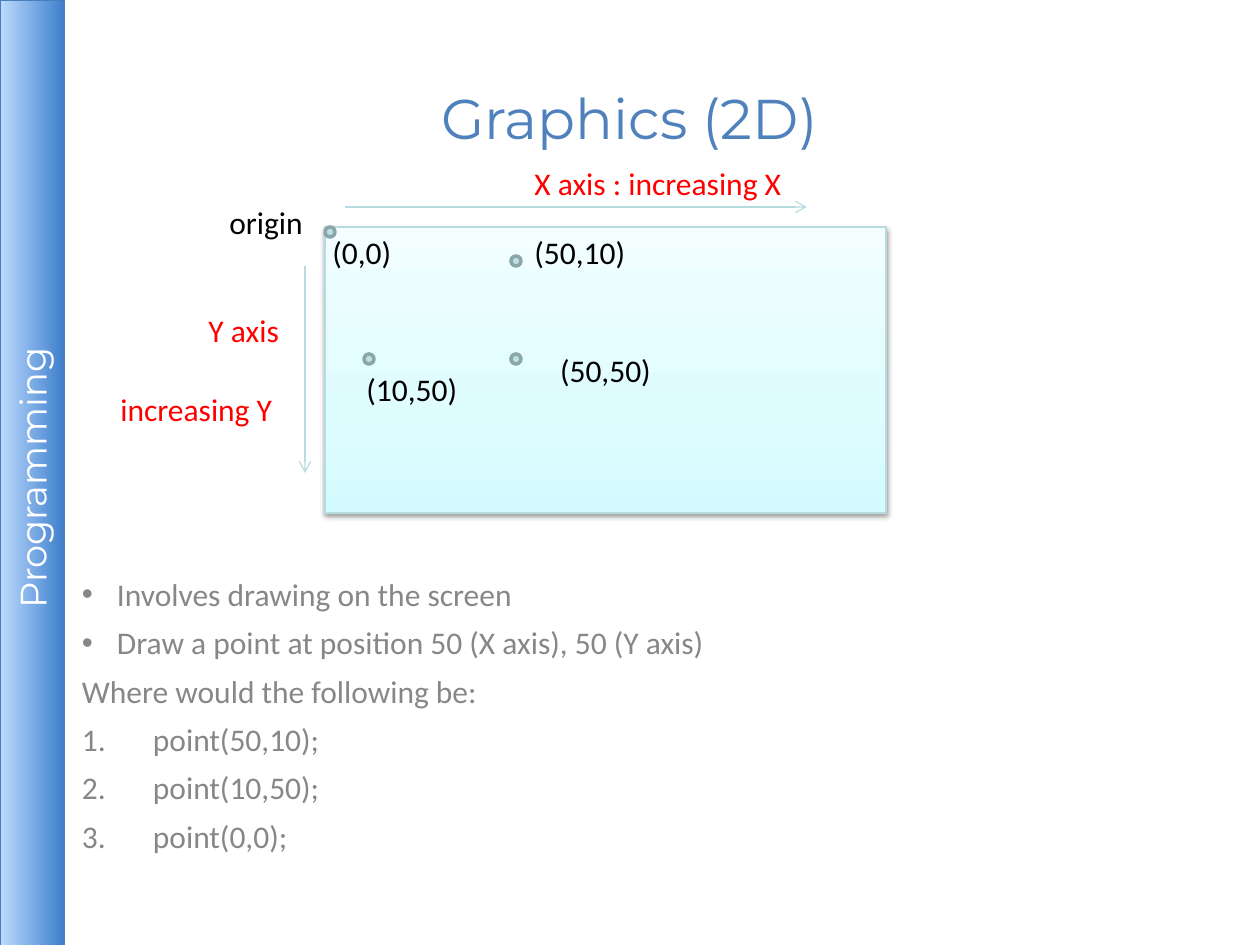
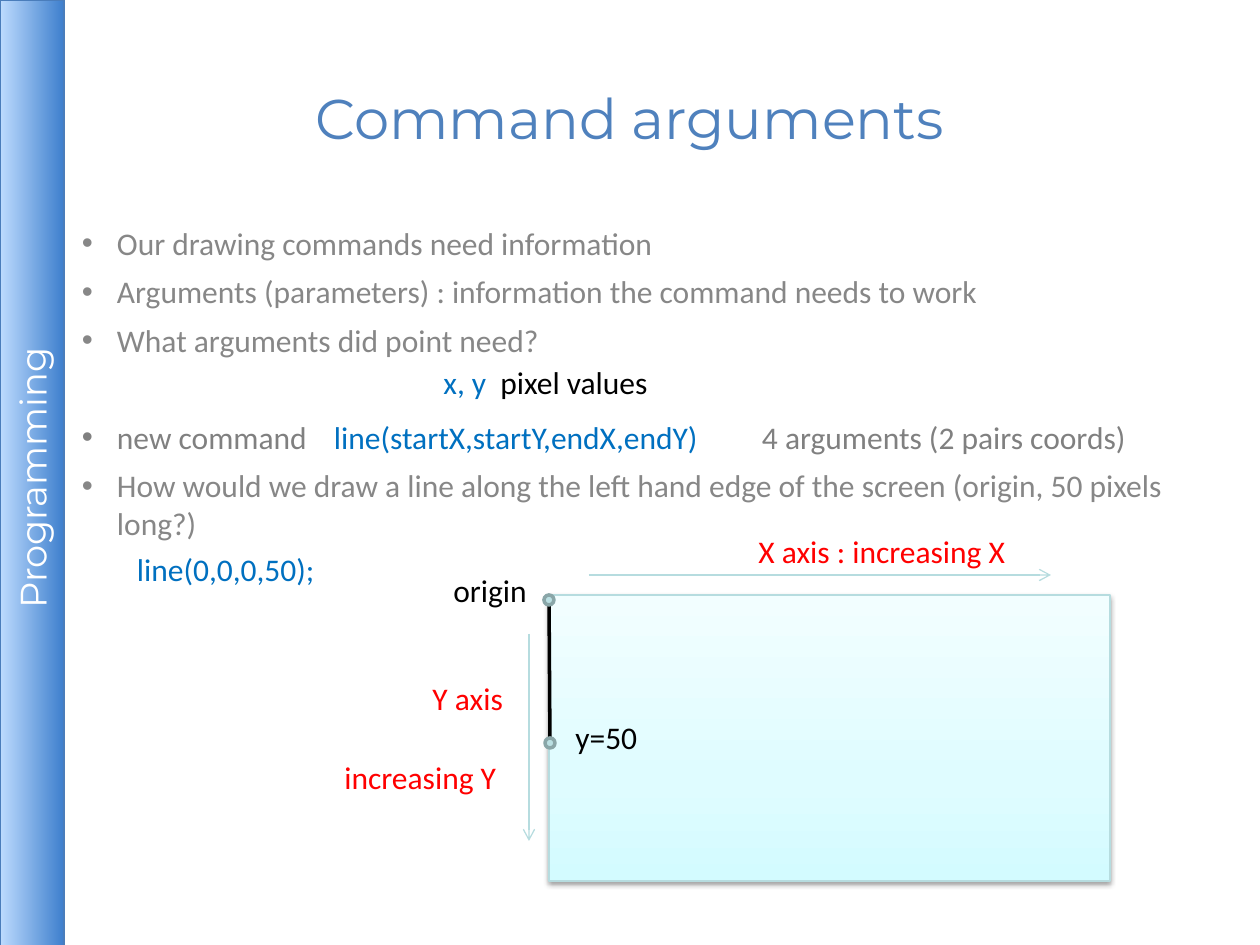
from dataclasses import dataclass

from lxml import etree
from pptx import Presentation
from pptx import util as u
from pptx.dml.color import RGBColor
from pptx.enum import shapes, text
from pptx.oxml import ns

SCALE = 914400 / 126


@dataclass(frozen=True)
class Theme:
    heading_font: str = "Montserrat"
    body_font: str = "Calibri"
    title_size: int = 32
    band_size: int = 21
    body_size: int = 18
    title: str = "4F81BD"
    body: str = "878787"
    command: str = "808080"
    code: str = "0070C0"
    axis: str = "FF0000"
    black: str = "000000"
    white: str = "FFFFFF"
    edge: str = "B6DCDF"
    dot: str = "BBE0E3"
    dot_edge: str = "8AA6A8"
    band_edge: str = "4A7DBB"
    band_stops: tuple = ((0, "BDDBFE"), (100, "3E7FCD"))
    screen_stops: tuple = ((0, "D3FBFF"), (35, "DFFCFF"), (100, "F2FEFF"))


T = Theme()
BAND = (-441, 441, 946, 64)
TITLE = (63, 38, 1134, 158)
SCREEN_SIZE = (561, 286)
DOT = 10
INSET = 5


def px(n):
    return u.Emu(round(n * SCALE))


def box(left, top, width, height):
    return [px(n) for n in (left, top, width, height)]


def rgb(color):
    return RGBColor.from_string(color)


def add_xml(parent, tag, **attrs):
    return etree.SubElement(parent, ns.qn(tag), {k: str(v) for k, v in attrs.items()})


def write(p, runs, size=T.body_size, font=T.body_font):
    """Fill a paragraph from (text, colour) pairs."""
    for words, color in runs:
        r = p.add_run()
        r.text = words
        r.font.size, r.font.name = u.Pt(size), font
        r.font.color.rgb = rgb(color)


def set_tabs(p, stops):
    tabs = add_xml(p._p.get_or_add_pPr(), "a:tabLst")
    for stop in stops:
        add_xml(tabs, "a:tab", pos=px(stop), algn="l")


def set_insets(tf):
    tf.margin_left = tf.margin_right = tf.margin_top = tf.margin_bottom = px(INSET)


def add_preset(s, kind, area, edge, weight):
    sp = s.shapes.add_shape(kind, *box(*area))
    sp.shadow.inherit = False
    sp.line.color.rgb, sp.line.width = rgb(edge), u.Pt(weight)
    return sp


def add_gradient_rect(s, area, edge, stops, angle, alpha, blur, dist):
    sp = add_preset(s, shapes.MSO_SHAPE.RECTANGLE, area, edge, 0.75)
    sp.fill.gradient()
    sp.fill.gradient_angle = angle
    props = sp.element.spPr
    stop_list = props.find(".//" + ns.qn("a:gsLst"))
    for old in list(stop_list):
        stop_list.remove(old)
    for pos, color in stops:
        add_xml(add_xml(stop_list, "a:gs", pos=pos * 1000), "a:srgbClr", val=color)
    shadow = add_xml(props.find(ns.qn("a:effectLst")), "a:outerShdw", blurRad=u.Pt(blur),
                     dist=u.Pt(dist), dir=5400000, rotWithShape=0)
    add_xml(add_xml(shadow, "a:srgbClr", val=T.black), "a:alpha", val=alpha * 1000)
    return sp


def add_line(s, start, end, color=T.edge, weight=0.75, arrow=True):
    line = s.shapes.add_connector(shapes.MSO_CONNECTOR.STRAIGHT,
                                  *[px(n) for n in (*start, *end)])
    line.line.color.rgb, line.line.width = rgb(color), u.Pt(weight)
    if arrow:
        add_xml(line.line._get_or_add_ln(), "a:tailEnd", type="arrow")
    add_xml(line.element.spPr, "a:effectLst")


def add_dot(s, x, y):
    dot = add_preset(s, shapes.MSO_SHAPE.OVAL, (x, y, DOT, DOT), T.dot_edge, 2)
    dot.fill.solid()
    dot.fill.fore_color.rgb = rgb(T.dot)


def add_label(s, x, y, width, *runs):
    tf = s.shapes.add_textbox(*box(x, y, width, 50)).text_frame
    tf.word_wrap = False
    tf.auto_size = text.MSO_AUTO_SIZE.SHAPE_TO_FIT_TEXT
    write(tf.paragraphs[0], runs)
    return tf.paragraphs[0]


def add_band(s):
    band = add_gradient_rect(s, BAND, T.band_edge, T.band_stops, 270, 35, 0, 1.8)
    band.rotation = 270
    tf = band.text_frame
    set_insets(tf)
    tf.vertical_anchor = text.MSO_ANCHOR.MIDDLE
    tf.paragraphs[0].alignment = text.PP_ALIGN.CENTER
    write(tf.paragraphs[0], [("Programming ", T.white)], T.band_size, T.heading_font)


def add_title(s, title):
    tf = s.shapes.add_textbox(*box(*TITLE)).text_frame
    tf.word_wrap = True
    set_insets(tf)
    tf.vertical_anchor = text.MSO_ANCHOR.MIDDLE
    tf.paragraphs[0].alignment = text.PP_ALIGN.CENTER
    write(tf.paragraphs[0], [(title, T.title)], T.title_size, T.heading_font)


def add_body(s, area, items):
    """Write (style, runs, space before, tab stops) items as one list."""
    tf = s.shapes.add_textbox(*box(*area)).text_frame
    tf.word_wrap = True
    set_insets(tf)
    indents = {"bullet": (35, -35), "plain": (35, -35), "number": (71, -71), "code": (55, 0)}
    for i, (style, runs, space, tabs) in enumerate(items):
        p = tf.paragraphs[0] if i == 0 else tf.add_paragraph()
        p.space_before = u.Pt(space)
        props = p._p.get_or_add_pPr()
        left, first = indents[style]
        props.set("marL", str(px(left)))
        props.set("indent", str(px(first)))
        if style == "bullet":
            add_xml(props, "a:buFont", typeface="Arial")
            add_xml(props, "a:buChar", char="•")
        elif style == "number":
            add_xml(props, "a:buFont", typeface="+mj-lt")
            add_xml(props, "a:buAutoNum", type="arabicPeriod")
        else:
            add_xml(props, "a:buNone")
        if tabs:
            set_tabs(p, tabs)
        write(p, runs)


def item(style, words, color=T.body, space=6):
    return style, [(words, color)], space, ()


def add_screen(s, x, y, arrow_start):
    """Draw the screen with its axes, with its top left corner at x, y."""
    screen = add_gradient_rect(s, (x, y, *SCREEN_SIZE), T.edge, T.screen_stops,
                               90, 38, 3.1, 1.6)
    add_line(s, (x - 20, y + 39), (x - 20, y + 246))
    add_line(s, (x + arrow_start, y - 20), (x + arrow_start + 462, y - 20))
    for dx, dy, width, words, color in (
            (-108, -30, 100, "origin", T.black),
            (197, -69, 276, "X axis : increasing X", T.axis),
            (-129, 78, 97, "Y axis", T.axis),
            (-217, 157, 180, "increasing Y", T.axis)):
        add_label(s, x + dx, y + dy, width, (words, color))
    return screen


def new_slide(prs, title):
    s = prs.slides.add_slide(prs.slide_layouts[6])
    add_band(s)
    add_title(s, title)
    return s


def graphics_slide(prs):
    s = new_slide(prs, "Graphics (2D)")
    add_body(s, (77, 570, 1120, 309), [
        item("bullet", "Involves drawing on the screen"),
        item("bullet", "Draw a point at position 50 (X axis), 50 (Y axis)"),
        item("plain", "Where would the following be:"),
        *[item("number", f"point({xy});") for xy in ("50,10", "10,50", "0,0")]])
    x, y = 325, 227
    tf = add_screen(s, x, y, 20).text_frame
    tf.vertical_anchor = text.MSO_ANCHOR.MIDDLE
    tf.paragraphs[0].alignment = text.PP_ALIGN.CENTER
    write(tf.paragraphs[0], [("(50,50)", T.black)])
    for dx, dy in ((186, 127), (186, 29), (39, 127), (0, 0)):
        add_dot(s, x + dx, y + dy)
    for dx, dy, width, words in ((29, 137, 117, "(10,50)"), (197, 0, 117, "(50,10)"),
                                 (-5, 0, 86, "(0,0)")):
        add_label(s, x + dx, y + dy, width, (words, T.black))


def arguments_slide(prs):
    s = new_slide(prs, "Command arguments")
    add_body(s, (77, 219, 1120, 660), [
        item("bullet", "Our drawing commands need information"),
        item("bullet", "Arguments (parameters) : information the command needs to work"),
        item("bullet", "What arguments did point need?"),
        ("bullet", [("new command \t", T.command), ("line(startX,startY,endX,endY)\t", T.code),
                    ("4 arguments (2 pairs coords)", T.command)], 34, (252, 680)),
        item("bullet", "How would we draw a line along the left hand edge of the screen "
                       "(origin, 50 pixels long?)"),
        item("code", "line(0,0,0,50);", T.code, 4.5)])
    x, y = 549, 595
    add_screen(s, x, y, 40)
    add_line(s, (x, y), (x + 1, y + 151), T.black, 2, arrow=False)
    for dx, dy in ((-4, 143), (-5, 0)):
        add_dot(s, x + dx, y + dy)
    add_label(s, x + 14, y + 117, 88, ("y=50", T.black))
    p = add_label(s, 431, 357, 232, ("x, y\t", T.code), ("pixel values", T.black))
    set_tabs(p, [57])


def main():
    prs = Presentation()
    prs.slide_width, prs.slide_height = px(1260), px(945)
    graphics_slide(prs)
    arguments_slide(prs)
    prs.save("out.pptx")


if __name__ == "__main__":
    main()
